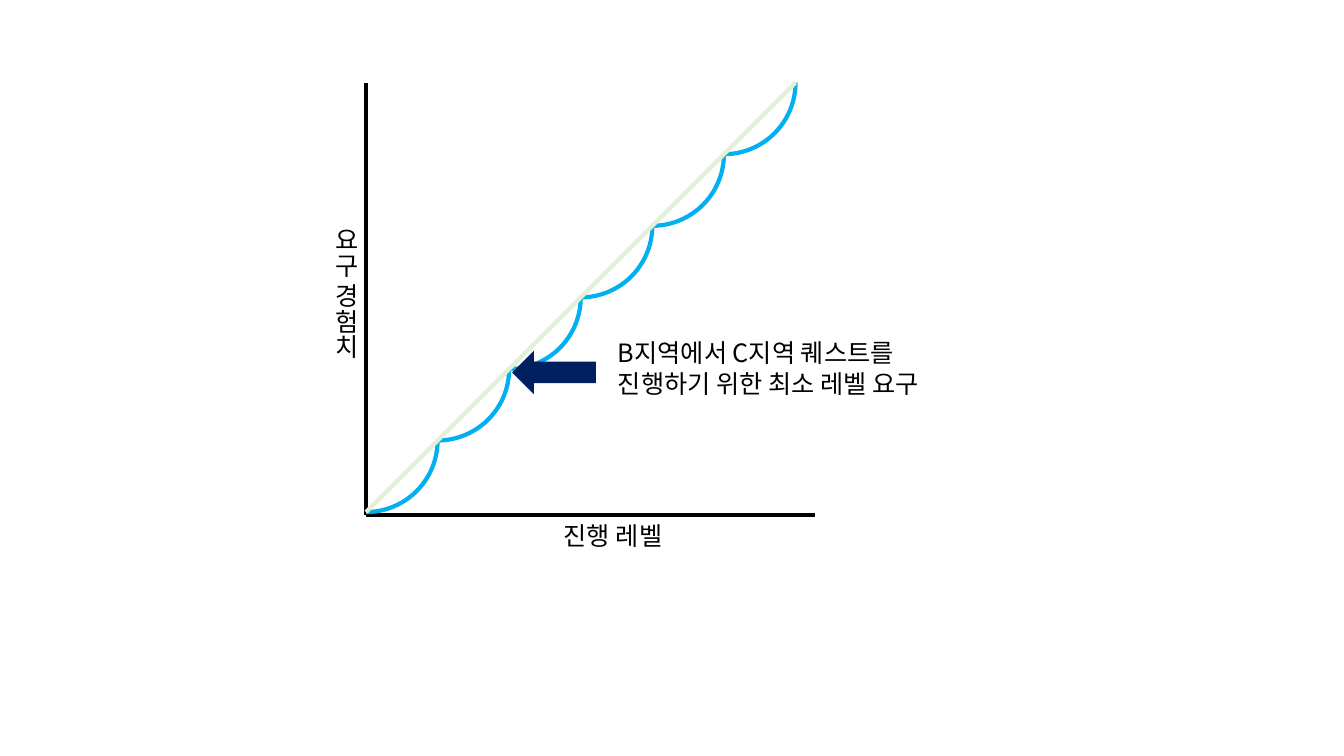
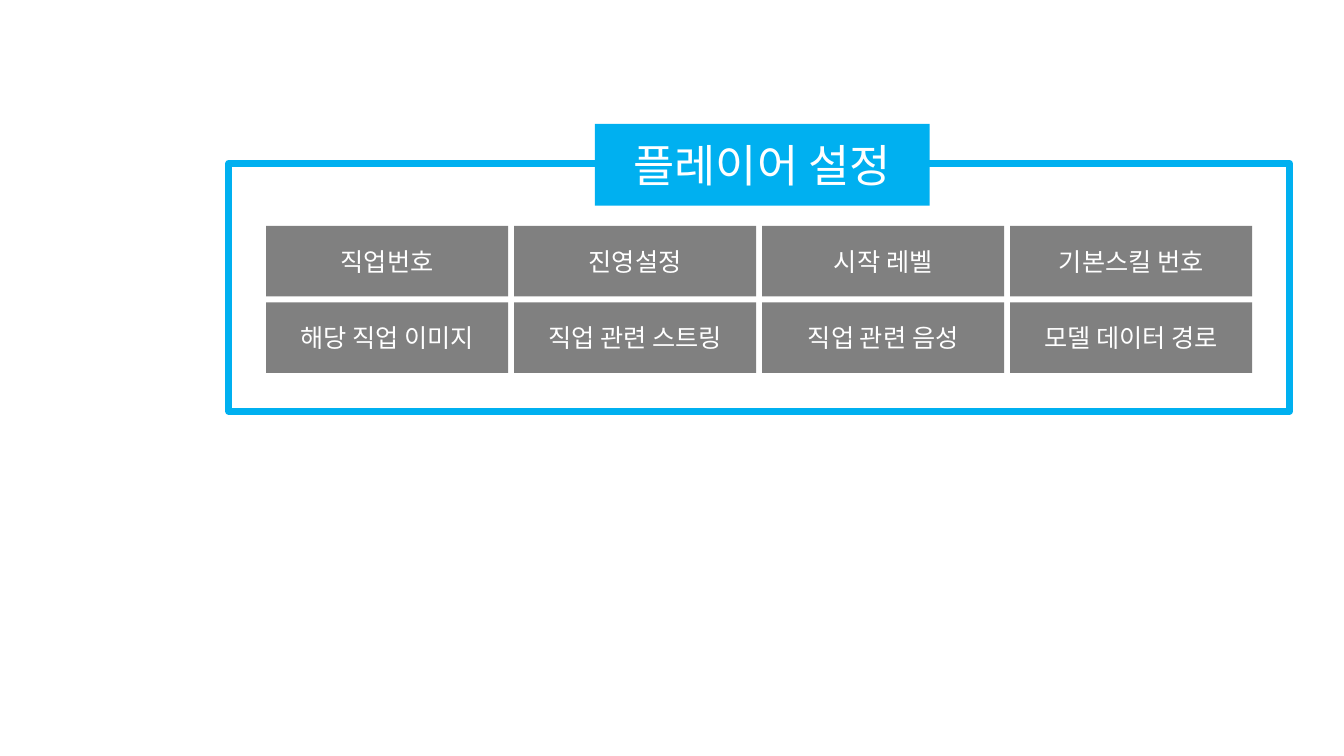
from itertools import product

from lxml.etree import SubElement
from pptx import Presentation
from pptx.dml.color import RGBColor
from pptx.enum.shapes import MSO_CONNECTOR as Connector, MSO_SHAPE as Shape
from pptx.enum.text import MSO_ANCHOR as Anchor, MSO_AUTO_SIZE as AutoSize, PP_ALIGN as Align
from pptx.oxml.ns import qn
from pptx.util import Inches, Pt

BLACK = RGBColor(0x00, 0x00, 0x00)
WHITE = RGBColor(0xFF, 0xFF, 0xFF)
SKY = RGBColor(0x00, 0xB0, 0xF0)
NAVY = RGBColor(0x00, 0x20, 0x60)
PALE_GREEN = RGBColor(0xE2, 0xF0, 0xD9)
GRAY = RGBColor(0x80, 0x80, 0x80)
FONT = "Noto Sans CJK KR"


class Sketch:
    """Holds the shared style and draws elements on the current slide."""

    def __init__(self):
        self.deck = Presentation()
        self.deck.slide_width = Inches(13.33)
        self.deck.slide_height = Inches(7.5)
        self.page = None

    def new_page(self):
        self.page = self.deck.slides.add_slide(self.deck.slide_layouts[6])

    def set_text(self, frame, lines, align, **font):
        style = {"name": FONT, "size": Pt(18), "color": BLACK, **font}
        color = style.pop("color")
        for index, line in enumerate(lines):
            para = frame.add_paragraph() if index else frame.paragraphs[0]
            para.alignment = align
            span = para.add_run()
            span.text = line
            for name, value in style.items():
                setattr(span.font, name, value)
            span.font.color.rgb = color
            SubElement(span.font._element, qn("a:ea"), typeface=FONT)

    def label(self, place, *lines, align=Align.LEFT, wrap=False, vertical=False):
        box = self.page.shapes.add_textbox(*map(Inches, place))
        frame = box.text_frame
        frame.word_wrap = wrap
        frame.auto_size = AutoSize.SHAPE_TO_FIT_TEXT
        if vertical:
            frame._element.find(qn("a:bodyPr")).set("vert", "eaVert")
        self.set_text(frame, lines, align)

    def shape(self, kind, place, fill=None, line=None, width=3, rotation=0):
        box = self.page.shapes.add_shape(kind, *map(Inches, place))
        box.shadow.inherit = False
        box.rotation = rotation
        for target, color in ((box.fill, fill), (box.line.fill, line)):
            if color is None:
                target.background()
            else:
                target.solid()
                target.fore_color.rgb = color
        if line is not None:
            box.line.width = Pt(width)
        return box

    def block(self, place, text, fill, size=18):
        box = self.shape(Shape.RECTANGLE, place, fill=fill)
        box.text_frame.word_wrap = True
        box.text_frame.vertical_anchor = Anchor.MIDDLE
        self.set_text(box.text_frame, [text], Align.CENTER, size=Pt(size), color=WHITE)

    def line(self, start, end, color):
        line = self.page.shapes.add_connector(Connector.STRAIGHT, *map(Inches, start + end))
        line.line.color.rgb = color
        line.line.width = Pt(3)
        SubElement(line._element.spPr, qn("a:effectLst"))


def level_curve(sketch):
    sketch.new_page()
    left, top, bottom = 3.63, 0.82, 5.11
    step, count = 0.71, 6
    sketch.line((left, bottom), (left, top), BLACK)
    sketch.line((8.08, bottom), (left, bottom), BLACK)
    sketch.label((5.43, bottom, 1.3, 0.4), "진행 레벨", align=Align.CENTER)
    sketch.label((3.13, 2.16, 0.5, 1.61), "요구 경험치", wrap=True, vertical=True)
    for index in range(count):
        place = (left + (index - 1) * step, top + (count - 2 - index) * step, 2 * step, 2 * step)
        sketch.shape(Shape.ARC, place, line=SKY, rotation=90)
    rise = count * step
    sketch.line((left + rise, top), (left, top + rise), PALE_GREEN)
    sketch.shape(Shape.LEFT_ARROW, (5.08, 3.48, 0.83, 0.43), fill=NAVY)
    sketch.label((6.03, 3.3, 3.59, 0.71), "B지역에서 C지역 퀘스트를", "진행하기 위한 최소 레벨 요구")


def player_settings(sketch):
    sketch.new_page()
    sketch.shape(Shape.RECTANGLE, (2.27, 1.62, 10.52, 2.46), line=SKY, width=5)
    sketch.block((5.9, 1.23, 3.32, 0.81), "플레이어 설정", SKY, size=32)
    settings = (
        "직업번호", "진영설정", "시작 레벨", "기본스킬 번호",
        "해당 직업 이미지", "직업 관련 스트링", "직업 관련 음성", "모델 데이터 경로",
    )
    width, height, gap = 2.4, 0.7, 0.06
    for (row, column), text in zip(product(range(2), range(4)), settings):
        place = (2.64 + column * (width + gap), 2.24 + row * (height + gap), width, height)
        sketch.block(place, text, GRAY)


def main():
    sketch = Sketch()
    level_curve(sketch)
    player_settings(sketch)
    sketch.deck.save("out.pptx")


if __name__ == "__main__":
    main()
